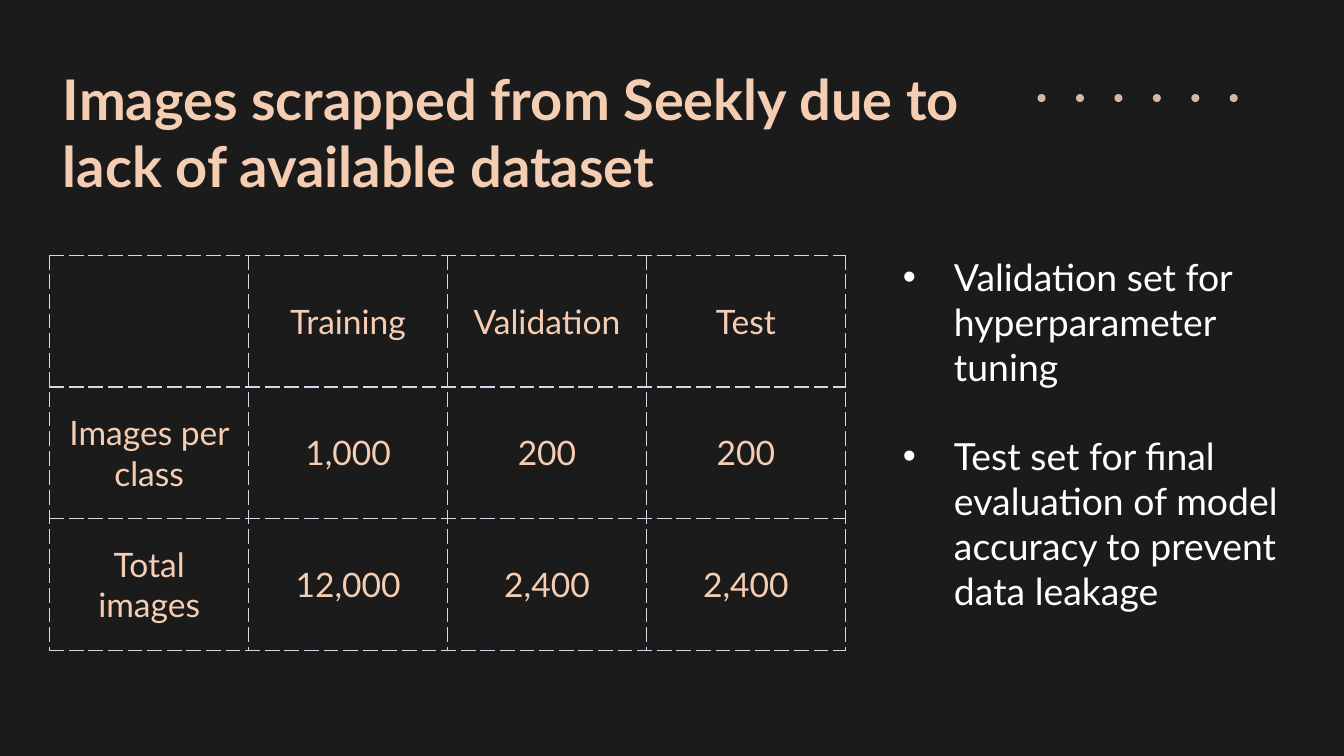
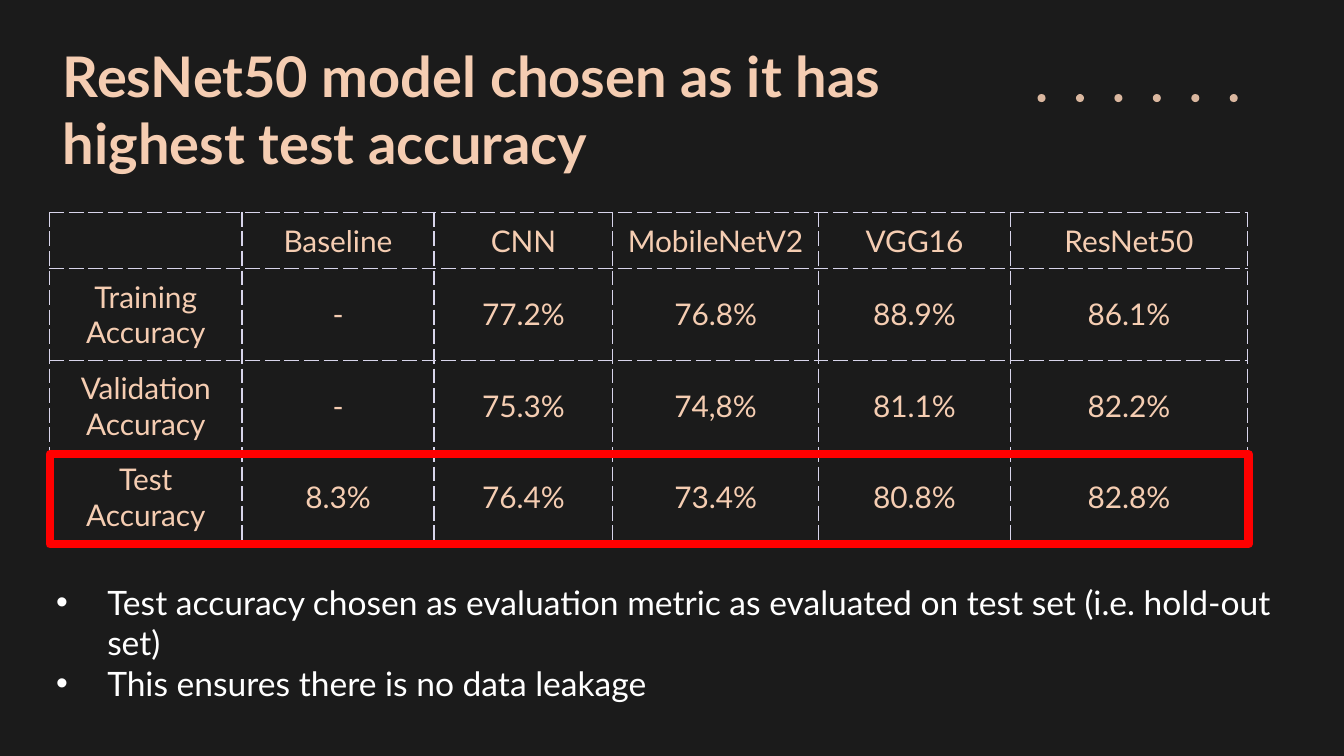
from dataclasses import dataclass
from typing import Optional

from lxml import etree
from pptx import Presentation
from pptx.dml.color import RGBColor
from pptx.enum.shapes import MSO_SHAPE
from pptx.enum.text import MSO_ANCHOR, PP_ALIGN
from pptx.oxml.ns import qn
from pptx.util import Inches, Pt

LEFT, CENTER = PP_ALIGN.LEFT, PP_ALIGN.CENTER
MIDDLE = MSO_ANCHOR.MIDDLE
OVAL, RECTANGLE = MSO_SHAPE.OVAL, MSO_SHAPE.RECTANGLE

FONT = "Lato"
BACKGROUND, PEACH, WHITE = "1B1B1B", "F5CDB2", "FFFFFF"
LAVENDER, RED = "D8D5EB", "FF0000"
CONTENT_LEFT = 0.37


@dataclass
class Box:
    left: float
    top: float
    width: float
    height: float

    def lengths(self) -> list:
        return [Inches(v) for v in (self.left, self.top, self.width, self.height)]


@dataclass
class Grid:
    top: float
    columns: list[float]
    rows: list[float]
    size: int
    cells: list[list[str]]


@dataclass
class Bullets:
    box: Box
    size: int
    gap: int
    items: list[str]


@dataclass
class TableSlide:
    title: str
    title_top: float
    grid: Grid
    bullets: Bullets
    highlight: Optional[Box] = None


def color(value: str) -> RGBColor:
    return RGBColor.from_string(value)


def add_element(parent, tag: str, **attributes: str):
    element = etree.SubElement(parent, qn(tag))
    for name, value in attributes.items():
        element.set(name, value)
    return element


def add_bullet(paragraph) -> None:
    properties = paragraph._p.get_or_add_pPr()
    properties.set("marL", str(Inches(0.38)))
    properties.set("indent", str(-Inches(0.38)))
    add_element(add_element(properties, "a:buClr"), "a:srgbClr", val=WHITE)
    add_element(properties, "a:buFont", typeface="Arial")
    add_element(properties, "a:buChar", char="•")


def write_text(frame, text: str, *, size: int, fill: str, bold: bool = False,
               align=LEFT, bullet: bool = False, gap: int = 0) -> None:
    """Write one paragraph for each line of the text."""
    frame.word_wrap = True
    for index, line in enumerate(text.split("\n")):
        paragraph = frame.add_paragraph() if index else frame.paragraphs[0]
        if bullet:
            add_bullet(paragraph)
        paragraph.alignment = align
        if index and gap:
            paragraph.space_before = Pt(gap)
        if not line:
            # An empty cell keeps the table's text size
            paragraph._p.get_or_add_endParaRPr().set("sz", str(size * 100))
            continue
        run = paragraph.add_run()
        run.text = line
        run.font.name = FONT
        run.font.size = Pt(size)
        run.font.bold = bold
        run.font.color.rgb = color(fill)


def add_text_box(slide, box: Box, text: str, **text_format) -> None:
    frame = slide.shapes.add_textbox(*box.lengths()).text_frame
    frame.margin_left = frame.margin_right = Inches(0.1)
    frame.margin_top = frame.margin_bottom = Inches(0.1)
    write_text(frame, text, **text_format)


def add_dots(slide) -> None:
    """Row of six small dots at the top right."""
    for index in range(6):
        box = Box(7.72 + index * 0.286, 0.7, 0.06, 0.06)
        dot = slide.shapes.add_shape(OVAL, *box.lengths())
        dot.shadow.inherit = False
        dot.line.fill.background()
        dot.fill.solid()
        dot.fill.fore_color.rgb = color(PEACH)
        shade = dot._element.spPr.find(qn("a:solidFill")).find(qn("a:srgbClr"))
        add_element(shade, "a:alpha", val="88000")


def add_borders(cell) -> None:
    properties = cell._tc.get_or_add_tcPr()
    for side in ("a:lnL", "a:lnR", "a:lnT", "a:lnB"):
        border = add_element(properties, side, w=str(Pt(0.75)))
        add_element(add_element(border, "a:solidFill"), "a:srgbClr", val=LAVENDER)
        add_element(border, "a:prstDash", val="dash")


def add_grid(slide, grid: Grid) -> None:
    box = Box(CONTENT_LEFT, grid.top, sum(grid.columns), sum(grid.rows))
    table = slide.shapes.add_table(
        len(grid.rows), len(grid.columns), *box.lengths()).table
    table.first_row = table.horz_banding = False
    for column, width in zip(table.columns, grid.columns):
        column.width = Inches(width)
    for row, height, texts in zip(table.rows, grid.rows, grid.cells):
        row.height = Inches(height)
        for cell, text in zip(row.cells, texts):
            cell.vertical_anchor = MIDDLE
            cell.margin_left = cell.margin_right = Inches(0.1)
            cell.margin_top = cell.margin_bottom = Inches(0.07)
            add_borders(cell)
            cell.fill.background()
            write_text(cell.text_frame, text, size=grid.size, fill=PEACH, align=CENTER)


def add_highlight(slide, box: Box) -> None:
    """Red frame around the deciding row of the table."""
    frame = slide.shapes.add_shape(RECTANGLE, *box.lengths())
    frame.shadow.inherit = False
    frame.fill.background()
    frame.line.color.rgb = color(RED)
    frame.line.width = Pt(4.5)


def add_table_slide(presentation, content: TableSlide) -> None:
    slide = presentation.slides.add_slide(presentation.slide_layouts[6])
    slide.background.fill.solid()
    slide.background.fill.fore_color.rgb = color(BACKGROUND)
    add_dots(slide)
    add_text_box(slide, Box(CONTENT_LEFT, content.title_top, 7.04, 1.08),
                 content.title, size=30, fill=PEACH, bold=True)
    add_grid(slide, content.grid)
    if content.highlight:
        add_highlight(slide, content.highlight)
    bullets = content.bullets
    add_text_box(slide, bullets.box, "\n".join(bullets.items), size=bullets.size,
                 fill=WHITE, bullet=True, gap=bullets.gap)


# Slide contents
DATASET = TableSlide(
    title="Images scrapped from Seekly due to lack of available dataset",
    title_top=0.38,
    grid=Grid(
        top=1.9, columns=[1.48] * 4, rows=[0.98] * 3, size=18,
        cells=[
            ["", "Training", "Validation", "Test"],
            ["Images per class", "1,000", "200", "200"],
            ["Total images", "12,000", "2,400", "2,400"],
        ]),
    bullets=Bullets(Box(6.62, 1.79, 3.1, 3.45), size=20, gap=24, items=[
        "Validation set for hyperparameter tuning",
        "Test set for final evaluation of model accuracy to prevent data leakage",
    ]),
)

MODELS = TableSlide(
    title="ResNet50 model chosen as it has highest test accuracy",
    title_top=0.21,
    grid=Grid(
        top=1.58, columns=[1.43, 1.43, 1.33, 1.53, 1.43, 1.76],
        rows=[0.42] + [0.68] * 3, size=16,
        cells=[
            ["", "Baseline", "CNN", "MobileNetV2", "VGG16", "ResNet50"],
            ["Training Accuracy", "-", "77.2%", "76.8%", "88.9%", "86.1%"],
            ["Validation\nAccuracy", "-", "75.3%", "74,8%", "81.1%", "82.2%"],
            ["Test Accuracy", "8.3%", "76.4%", "73.4%", "80.8%", "82.8%"],
        ]),
    bullets=Bullets(Box(0.32, 4.23, 9.43, 1.08), size=18, gap=0, items=[
        "Test accuracy chosen as evaluation metric as evaluated on test set "
        "(i.e. hold-out set)",
        "This ensures there is no data leakage",
    ]),
    highlight=Box(CONTENT_LEFT, 3.38, 8.92, 0.67),
)


def main() -> None:
    presentation = Presentation()
    # Widescreen, 16 to 9
    presentation.slide_width = Inches(10)
    presentation.slide_height = Inches(10 * 9 / 16)
    for content in (DATASET, MODELS):
        add_table_slide(presentation, content)
    presentation.save("out.pptx")


if __name__ == "__main__":
    main()
